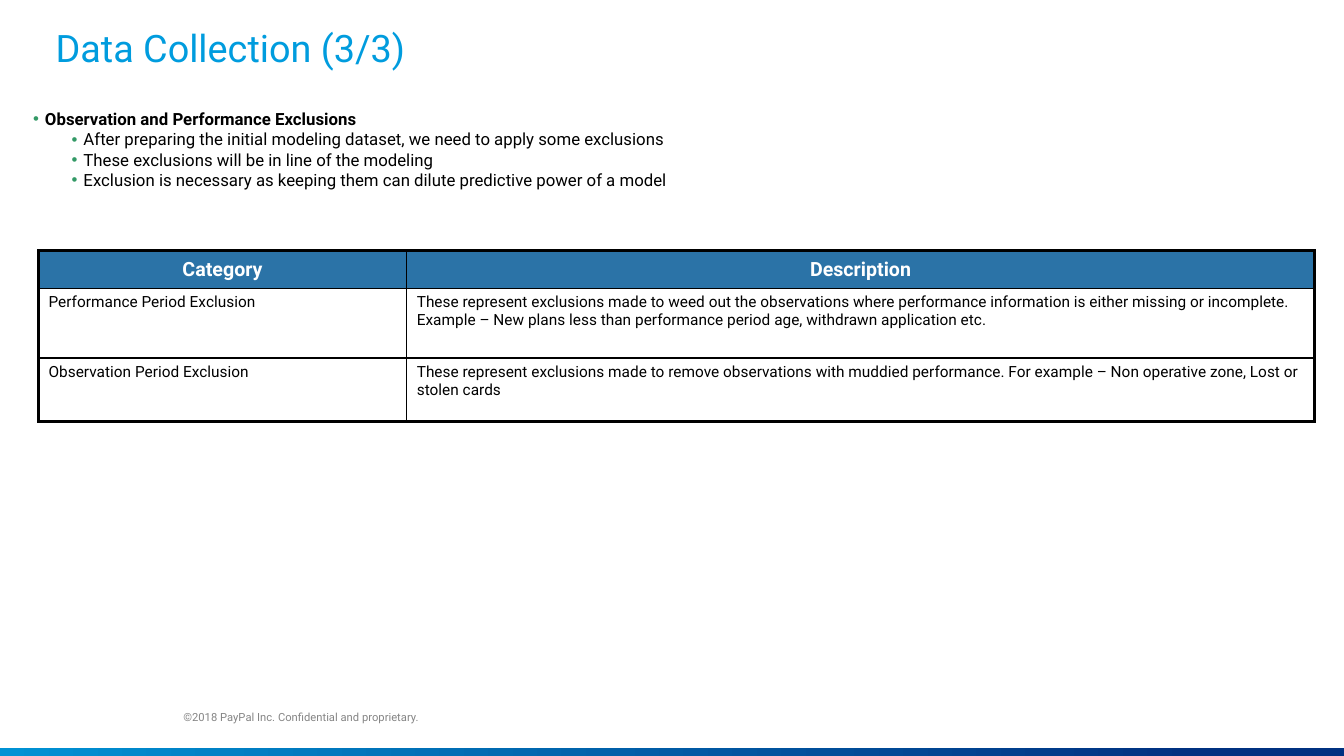
import pptx
import pptx.dml.color
import pptx.enum.shapes
import pptx.enum.text
import pptx.oxml
import pptx.oxml.ns
import pptx.util
from pptx.util import Cm

COLORS = {
    "title": "009CDE", "text": "000000", "bullet": "339966", "footer": "858585",
    "header": "2B73A7", "white": "FFFFFF", "border": "000000",
    "bar_start": "0092D4", "bar_end": "003181",
}
FORMATS = {
    "title": {"size": 27, "bold": False, "color": "title"},
    "topic": {"size": 12, "bold": True, "color": "text"},
    "point": {"size": 12, "bold": False, "color": "text"},
    "header": {"size": 14, "bold": True, "color": "white"},
    "cell": {"size": 11, "bold": False, "color": "text"},
    "footer": {"size": 8, "bold": False, "color": "footer"},
}
TOPIC = "Observation and Performance Exclusions"
POINTS = [
    "After preparing the initial modeling dataset, we need to apply some exclusions",
    "These exclusions will be in line of the modeling",
    "Exclusion is necessary as keeping them can dilute predictive power of a model",
]
EXCLUSIONS = [
    ("Category", "Description"),
    ("Performance Period Exclusion",
     "These represent exclusions made to weed out the observations where performance "
     "information is either missing or incomplete. Example – New plans less than "
     "performance period age, withdrawn application etc."),
    ("Observation Period Exclusion",
     "These represent exclusions made to remove observations with muddied performance. "
     "For example – Non operative zone, Lost or stolen cards"),
]
ALIGN = pptx.enum.text.PP_ALIGN
ANCHOR = pptx.enum.text.MSO_ANCHOR


def rgb(name):
    return pptx.dml.color.RGBColor.from_string(COLORS[name])


def format_font(paragraph, style):
    values = FORMATS[style]
    settings = {"name": "Roboto", "size": pptx.util.Pt(values["size"]), "bold": values["bold"]}
    for attribute, value in settings.items():
        setattr(paragraph.font, attribute, value)
    paragraph.font.color.rgb = rgb(values["color"])


def format_frame(frame, **settings):
    defaults = {"word_wrap": True, "auto_size": pptx.enum.text.MSO_AUTO_SIZE.NONE}
    for attribute, value in {**defaults, **settings}.items():
        setattr(frame, attribute, value)


def place(shape, box):
    for attribute, value in zip(("left", "top", "width", "height"), box):
        setattr(shape, attribute, value)


def add_bullet(paragraph, left, hanging):
    properties = paragraph._p.get_or_add_pPr()
    properties.set("marL", str(left))
    properties.set("indent", str(-hanging))
    namespace = pptx.oxml.ns.nsdecls("a")
    for xml in (
        f'<a:buClr {namespace}><a:srgbClr val="{COLORS["bullet"]}"/></a:buClr>',
        f'<a:buFont {namespace} typeface="Arial"/>',
        f'<a:buChar {namespace} char="•"/>',
    ):
        properties.append(pptx.oxml.parse_xml(xml))


def add_border(cell, side, points):
    cell._tc.get_or_add_tcPr().append(pptx.oxml.parse_xml(
        f'<a:ln{side} {pptx.oxml.ns.nsdecls("a")} w="{pptx.util.Pt(points)}">'
        f'<a:solidFill><a:srgbClr val="{COLORS["border"]}"/></a:solidFill></a:ln{side}>'))


def build_title(slide, box):
    title = slide.shapes.title
    place(title, box)
    title.text = "Data Collection (3/3)"
    format_frame(title.text_frame, vertical_anchor=ANCHOR.BOTTOM, margin_left=0,
                 margin_top=0, margin_right=0, margin_bottom=0)
    paragraph = title.text_frame.paragraphs[0]
    paragraph.alignment = ALIGN.LEFT
    paragraph.line_spacing = 0.85
    format_font(paragraph, "title")


def build_points(slide, box):
    body = slide.placeholders[1]
    place(body, box)
    frame = body.text_frame
    format_frame(frame, vertical_anchor=ANCHOR.TOP)
    frame.text = "\n".join([TOPIC, *POINTS])
    for index, paragraph in enumerate(frame.paragraphs):
        paragraph.level = min(index, 1)
        add_bullet(paragraph, Cm(1.27) if index else Cm(0.3), Cm(0.3))
        paragraph.space_before = pptx.util.Pt(0)
        format_font(paragraph, "point" if index else "topic")


def build_table(slide, box):
    row_heights = (Cm(0.94), Cm(1.76), Cm(1.6))
    column_widths = (Cm(9.28), box[2] - Cm(9.28))
    table = slide.shapes.add_table(len(row_heights), len(column_widths), *box).table
    table.horz_banding = False
    for row, height in zip(table.rows, row_heights):
        row.height = height
    for column, width in zip(table.columns, column_widths):
        column.width = width
    last_row, last_column = len(row_heights) - 1, len(column_widths) - 1
    for row_index, texts in enumerate(EXCLUSIONS):
        for column_index, text in enumerate(texts):
            cell = table.cell(row_index, column_index)
            is_header = row_index == 0
            # Thick outer frame, thin inner lines
            outer = {"L": column_index == 0, "R": column_index == last_column,
                     "T": is_header, "B": row_index == last_row}
            for side, is_outer in outer.items():
                add_border(cell, side, 2.25 if is_outer else 1)
            cell.fill.solid()
            cell.fill.fore_color.rgb = rgb("header" if is_header else "white")
            cell.text = text
            cell.vertical_anchor = ANCHOR.MIDDLE if is_header else ANCHOR.TOP
            paragraph = cell.text_frame.paragraphs[0]
            paragraph.alignment = ALIGN.CENTER if is_header else ALIGN.LEFT
            paragraph.space_after = pptx.util.Pt(3)
            format_font(paragraph, "header" if is_header else "cell")


def build_footer(slide, box):
    left, top, width, height = box
    # Gradient bar along the bottom edge
    bar_height = Cm(0.2)
    bar = slide.shapes.add_shape(pptx.enum.shapes.MSO_SHAPE.RECTANGLE,
                                 left, top + height - bar_height, width, bar_height)
    bar.shadow.inherit = False
    bar.line.fill.background()
    bar.fill.gradient()
    bar.fill.gradient_angle = 0
    stops = zip(bar.fill.gradient_stops, (0, 0.89), ("bar_start", "bar_end"))
    for stop, position, color in stops:
        stop.position = position
        stop.color.rgb = rgb(color)
    # Copyright line
    notice = slide.shapes.add_textbox(left + Cm(4.62), top, Cm(11.43), Cm(0.86))
    notice.text_frame.text = "©2018 PayPal Inc. Confidential and proprietary."
    format_frame(notice.text_frame, vertical_anchor=ANCHOR.MIDDLE,
                 margin_left=0, margin_right=0)
    format_font(notice.text_frame.paragraphs[0], "footer")


def main():
    presentation = pptx.Presentation()
    presentation.slide_width = Cm(33.87)
    presentation.slide_height = Cm(19.05)
    slide = presentation.slides.add_slide(presentation.slide_layouts[1])
    build_footer(slide, (0, Cm(17.65), presentation.slide_width, Cm(1.4)))
    build_title(slide, (Cm(1.4), Cm(0.91), Cm(31.06), Cm(0.86)))
    build_points(slide, (Cm(0.58), Cm(2.62), Cm(32.92), Cm(2.31)))
    build_table(slide, (Cm(0.97), Cm(6.32), Cm(32.16), Cm(4.3)))
    presentation.save("out.pptx")


if __name__ == "__main__":
    main()
